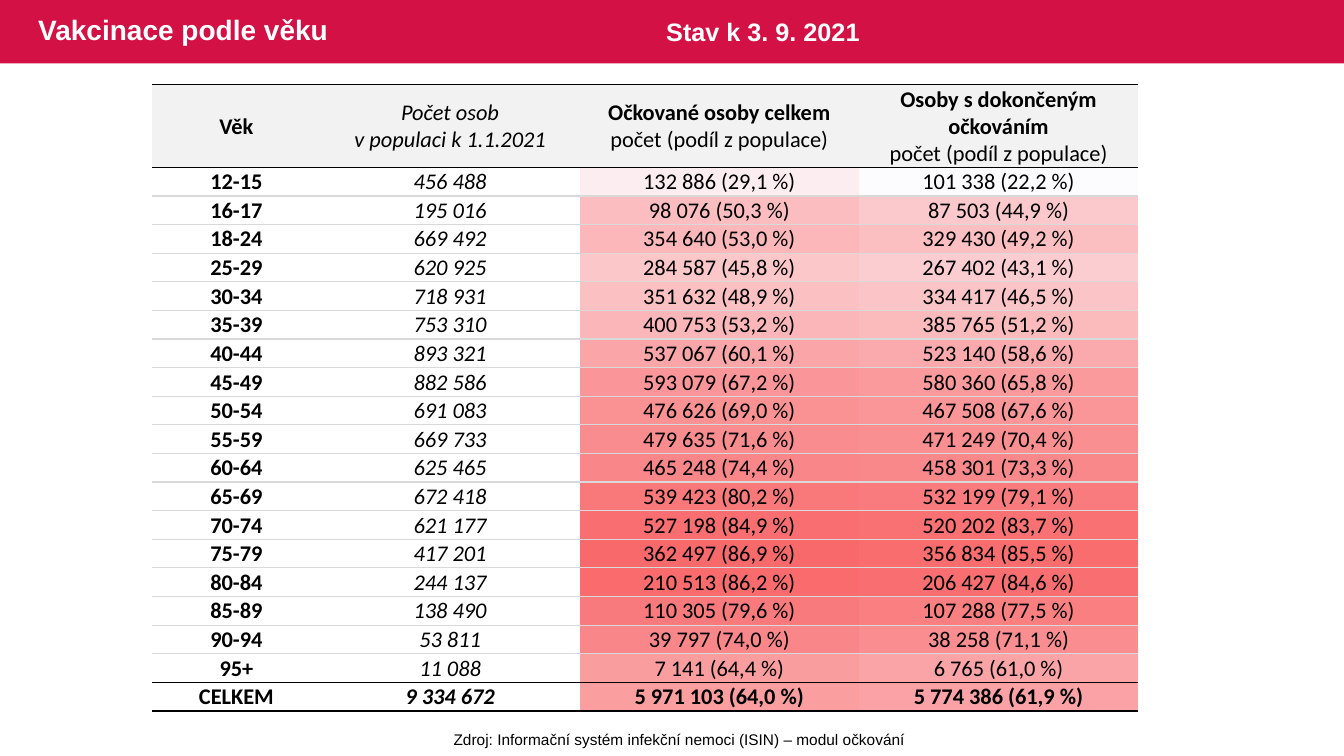
import math
from dataclasses import dataclass

import pptx
import pptx.dml.color
import pptx.enum.shapes
import pptx.enum.text
import pptx.oxml
import pptx.oxml.ns
import pptx.util
from lxml import etree

Inches = pptx.util.Inches
ALIGN = pptx.enum.text.PP_ALIGN
ANCHOR = pptx.enum.text.MSO_ANCHOR

BLACK, WHITE, CRIMSON = "000000", "FFFFFF", "D31145"
HEADER_GRAY, RULE_GRAY = "F2F2F2", "D9D9D9"
HEAT_LOW, HEAT_HIGH = (252, 252, 255), (248, 105, 107)
NO_STYLE = "{2D5ABB26-0587-4C30-8999-92F81FD0307C}"

TABLE_LEFT, TABLE_TOP, HEADER_HEIGHT, BODY_HEIGHT = 1.51, 0.84, 0.82, 5.4
COLUMN_WIDTHS = [1.67, 2.57, 2.77, 2.77]


@dataclass(frozen=True)
class AgeGroup:
    age: str
    population: int
    vaccinated: int
    completed: int

    def shares(self) -> list[float]:
        return [self.vaccinated / self.population, self.completed / self.population]


@dataclass(frozen=True)
class Line:
    text: str
    bold: bool = False
    italic: bool = False


AGE_GROUPS = [
    AgeGroup("12-15", 456488, 132886, 101338),
    AgeGroup("16-17", 195016, 98076, 87503),
    AgeGroup("18-24", 669492, 354640, 329430),
    AgeGroup("25-29", 620925, 284587, 267402),
    AgeGroup("30-34", 718931, 351632, 334417),
    AgeGroup("35-39", 753310, 400753, 385765),
    AgeGroup("40-44", 893321, 537067, 523140),
    AgeGroup("45-49", 882586, 593079, 580360),
    AgeGroup("50-54", 691083, 476626, 467508),
    AgeGroup("55-59", 669733, 479635, 471249),
    AgeGroup("60-64", 625465, 465248, 458301),
    AgeGroup("65-69", 672418, 539423, 532199),
    AgeGroup("70-74", 621177, 527198, 520202),
    AgeGroup("75-79", 417201, 362497, 356834),
    AgeGroup("80-84", 244137, 210513, 206427),
    AgeGroup("85-89", 138490, 110305, 107288),
    AgeGroup("90-94", 53811, 39797, 38258),
    AgeGroup("95+", 11088, 7141, 6765),
    AgeGroup("CELKEM", 9334672, 5971103, 5774386),
]
HEADINGS = [
    [Line("Věk", bold=True)],
    [Line("Počet osob", italic=True), Line("v populaci k 1.1.2021", italic=True)],
    [Line("Očkované osoby celkem", bold=True), Line("počet (podíl z populace)")],
    [Line("Osoby s dokončeným očkováním", bold=True), Line("počet (podíl z populace)")],
]
ROW_HEIGHT = BODY_HEIGHT / len(AGE_GROUPS)


def rgb(value: str) -> pptx.dml.color.RGBColor:
    return pptx.dml.color.RGBColor.from_string(value)


def write(frame, lines: list[Line], *, size: float, font: str = "Arial",
          color: str = BLACK, align=ALIGN.LEFT, spacing: float = 1.0) -> None:
    for index, line in enumerate(lines):
        paragraph = frame.add_paragraph() if index else frame.paragraphs[0]
        paragraph.alignment = align
        paragraph.line_spacing = spacing
        run = paragraph.add_run()
        run.text = line.text
        run.font.name, run.font.size = font, pptx.util.Pt(size)
        run.font.bold, run.font.italic = line.bold, line.italic
        run.font.color.rgb = rgb(color)


def add_text(slide, box: tuple[float, float, float, float], line: Line, *,
             anchor=ANCHOR.TOP, wrap: bool = True, **text_format) -> None:
    frame = slide.shapes.add_textbox(*map(Inches, box)).text_frame
    frame.word_wrap = wrap
    frame.vertical_anchor = anchor
    write(frame, [line], **text_format)


def add_plain_table(slide, left: float, top: float, widths: list[float], heights: list[float]):
    frame = slide.shapes.add_table(len(heights), len(widths), Inches(left), Inches(top),
                                   Inches(sum(widths)), Inches(sum(heights)))
    table = frame.table
    table.first_row = table.horz_banding = False
    table._tbl.tblPr.find(pptx.oxml.ns.qn("a:tableStyleId")).text = NO_STYLE
    for column, width in zip(table.columns, widths):
        column.width = Inches(width)
    for row, height in zip(table.rows, heights):
        row.height = Inches(height)
    for cell in table.iter_cells():
        cell.margin_left = cell.margin_right = cell.margin_top = Inches(0.01)
        cell.margin_bottom = 0
        cell.vertical_anchor = ANCHOR.MIDDLE
    return table


def fill_cell(cell, color: str) -> None:
    cell.fill.solid()
    cell.fill.fore_color.rgb = rgb(color)


def rule_cell(cell, top: str, bottom: str) -> None:
    for index, (side, color) in enumerate((("lnT", top), ("lnB", bottom))):
        border = pptx.oxml.parse_xml(
            f'<a:{side} {pptx.oxml.ns.nsdecls("a")} w="12700">'
            f'<a:solidFill><a:srgbClr val="{color}"/></a:solidFill></a:{side}>')
        cell._tc.get_or_add_tcPr().insert(index, border)


def heat_color(share: float, lowest: float, highest: float) -> str:
    ratio = (share - lowest) / (highest - lowest)
    channels = (low + (high - low) * ratio for low, high in zip(HEAT_LOW, HEAT_HIGH))
    return "".join(f"{math.ceil(round(channel, 6)):02X}" for channel in channels)


def grouped(number: int) -> str:
    return f"{number:,}".replace(",", " ")


def counted(number: int, share: float) -> str:
    percent = f"{share:.1%}".replace(".", ",").replace("%", " %")
    return f"{grouped(number)} ({percent})"


def add_heat_table(slide) -> None:
    shares = [share for group in AGE_GROUPS for share in group.shares()]
    heat = add_plain_table(slide, TABLE_LEFT + sum(COLUMN_WIDTHS[:2]), TABLE_TOP + HEADER_HEIGHT,
                           COLUMN_WIDTHS[2:], [ROW_HEIGHT] * len(AGE_GROUPS))
    for cell, share in zip(heat.iter_cells(), shares):
        fill_cell(cell, heat_color(share, min(shares), max(shares)))
        # A small size keeps the empty rows at their set height
        etree.SubElement(cell.text_frame.paragraphs[0]._p,
                         pptx.oxml.ns.qn("a:endParaRPr"), sz="1000")


def add_age_table(slide) -> None:
    rows = [HEADINGS]
    for group in AGE_GROUPS:
        total = group is AGE_GROUPS[-1]
        vaccinated_share, completed_share = group.shares()
        rows.append([
            [Line(group.age, bold=True)],
            [Line(grouped(group.population), bold=total, italic=True)],
            [Line(counted(group.vaccinated, vaccinated_share), bold=total)],
            [Line(counted(group.completed, completed_share), bold=total)],
        ])
    # Black rules frame the header and the total
    last = len(rows) - 1
    rules = [BLACK if edge in (0, 1, last, last + 1) else RULE_GRAY for edge in range(last + 2)]
    ages = add_plain_table(slide, TABLE_LEFT, TABLE_TOP, COLUMN_WIDTHS,
                           [HEADER_HEIGHT] + [ROW_HEIGHT] * len(AGE_GROUPS))
    for row_index, row in enumerate(rows):
        for column_index, lines in enumerate(row):
            cell = ages.cell(row_index, column_index)
            write(cell.text_frame, lines, size=16, font="Calibri", align=ALIGN.CENTER)
            if row_index == 0:
                fill_cell(cell, HEADER_GRAY)
            else:
                cell.fill.background()
            rule_cell(cell, rules[row_index], rules[row_index + 1])


def main() -> None:
    deck = pptx.Presentation()
    deck.slide_width, deck.slide_height = Inches(13.33), Inches(7.5)
    slide = deck.slides.add_slide(deck.slide_layouts[6])

    # Title band
    band = slide.shapes.add_shape(pptx.enum.shapes.MSO_SHAPE.RECTANGLE,
                                  0, 0, deck.slide_width, Inches(0.63))
    band.shadow.inherit = False
    band.fill.solid()
    band.fill.fore_color.rgb = rgb(CRIMSON)
    band.line.fill.background()

    # Shaded shares lie behind the figures
    add_heat_table(slide)
    add_text(slide, (0.28, 0, 8.13, 0.63), Line("Vakcinace podle věku", bold=True),
             anchor=ANCHOR.MIDDLE, size=20, color=WHITE, spacing=0.9)
    add_text(slide, (6.51, 0.11, 2.96, 0.4), Line("Stav k 3. 9. 2021", bold=True),
             size=18, color=WHITE)
    add_text(slide, (4.39, 7.19, 4.7, 0.29),
             Line("Zdroj: Informační systém infekční nemoci (ISIN) – modul očkování"),
             wrap=False, size=11, align=ALIGN.CENTER)
    add_age_table(slide)

    deck.save("out.pptx")


if __name__ == "__main__":
    main()
